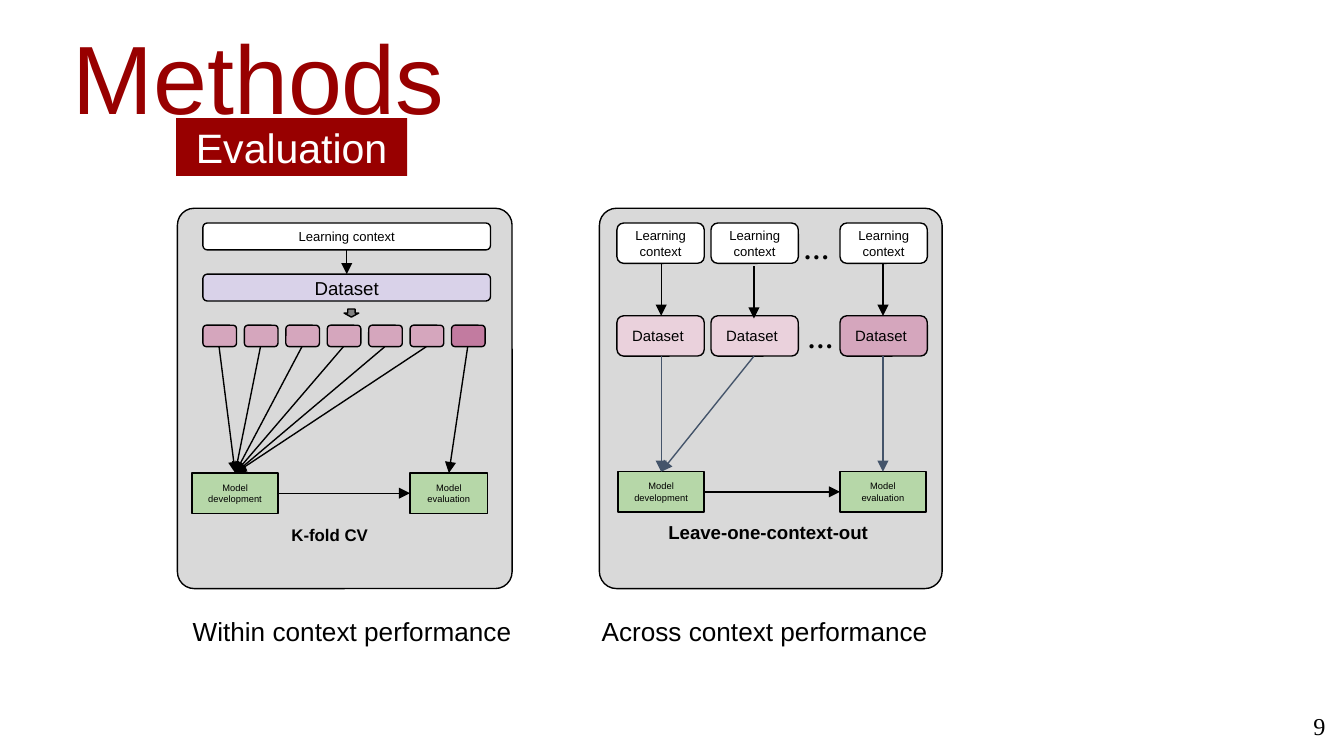
from pptx import Presentation
from pptx.dml.color import RGBColor
from pptx.enum.shapes import MSO_CONNECTOR as Connector, MSO_SHAPE as Preset
from pptx.enum.text import MSO_ANCHOR as Anchor, PP_ALIGN as Align
from pptx.oxml.ns import qn
from pptx.util import Inches, Pt
from lxml.etree import SubElement

BLACK, WHITE, CRIMSON, SLATE = "000000", "FFFFFF", "980000", "44546A"
PANEL, GREEN, LILAC = "D9D9D9", "B6D7A8", "D9D2E9"
PALE_PINK, PINK, DEEP_PINK, ARROW_GRAY = "EAD1DC", "D5A6BD", "C27BA0", "7F7F7F"


def color(value):
    """Turn a hex string into a colour."""
    return RGBColor.from_string(value)


def write(shape, text, size, ink=BLACK, align=Align.CENTER, font="Arial",
          bold=False, anchor=Anchor.MIDDLE, inset=0.1):
    """Fill a shape with one formatted paragraph and return it."""
    frame = shape.text_frame
    frame.word_wrap = True
    frame.vertical_anchor = anchor
    frame.margin_left = frame.margin_right = Inches(0.1)
    frame.margin_top = frame.margin_bottom = Inches(inset)
    para = frame.paragraphs[0]
    para.text = text
    para.alignment = align
    para.font.name = font
    para.font.size = Pt(size)
    para.font.bold = bold
    para.font.color.rgb = color(ink)
    return para


def add_box(page, place, fill, preset=Preset.ROUNDED_RECTANGLE, outlined=True):
    """Add a filled preset shape with an optional thin black outline."""
    box = page.shapes.add_shape(preset, *map(Inches, place))
    box.shadow.inherit = False
    box.fill.solid()
    box.fill.fore_color.rgb = color(fill)
    if outlined:
        box.line.color.rgb = color(BLACK)
        box.line.width = Pt(0.75)
    else:
        box.line.fill.background()
    return box


def add_panel(page, place):
    """Add a gray panel with slightly rounded corners."""
    add_box(page, place, PANEL).adjustments[0] = 0.05


def add_label(page, place, text, size, **style):
    """Add a text box anchored at the top."""
    label = page.shapes.add_textbox(*map(Inches, place))
    write(label, text, size, anchor=Anchor.TOP, **style)


def add_arrow(page, start, end, ink=BLACK):
    """Add a straight line with a triangle at its end."""
    arrow = page.shapes.add_connector(Connector.STRAIGHT, *map(Inches, (*start, *end)))
    arrow.line.color.rgb = color(ink)
    arrow.line.width = Pt(0.75)
    properties = arrow._element.spPr
    SubElement(properties.find(qn("a:ln")), qn("a:tailEnd"), type="triangle")
    SubElement(properties, qn("a:effectLst"))


def add_models(page, top, development, evaluation):
    """Add the two model boxes and the arrow that joins them."""
    steps = (("Model development", development), ("Model evaluation", evaluation))
    for text, (left, width) in steps:
        box = add_box(page, (left, top, width, 0.3), GREEN, Preset.RECTANGLE)
        write(box, text, 5)
    middle = top + 0.15
    add_arrow(page, (sum(development), middle), (evaluation[0], middle))


def add_heading(page):
    """Place the title and the section tag."""
    title = page.shapes.title
    title.left, title.top, title.width, title.height = map(Inches, (0.44, 0.22, 9.56, 0.99))
    write(title, "Methods", 52, CRIMSON, Align.LEFT, inset=0.05).line_spacing = 0.53
    tag = add_box(page, (1.31, 0.88, 1.72, 0.43), CRIMSON, Preset.RECTANGLE, outlined=False)
    write(tag, "Evaluation", 22, WHITE)


def add_within_context(page):
    """Draw the k-fold panel: one dataset split into folds."""
    add_panel(page, (1.32, 1.55, 2.49, 2.83))
    bars = (("Learning context", 1.66, WHITE, 7), ("Dataset", 2.04, LILAC, 10))
    for text, top, fill, size in bars:
        write(add_box(page, (1.51, top, 2.14, 0.2), fill), text, size)
    add_arrow(page, (2.58, 1.86), (2.58, 2.04))
    add_box(page, (2.56, 2.3, 0.11, 0.06), ARROW_GRAY, Preset.DOWN_ARROW)
    add_models(page, 3.52, (1.43, 0.64), (3.05, 0.58))

    folds = 7
    for index in range(folds):
        left = 1.51 + index * 1.85 / (folds - 1)
        held_out = index == folds - 1
        add_box(page, (left, 2.42, 0.25, 0.16), DEEP_PINK if held_out else PINK)
        add_arrow(page, (left + 0.12, 2.58), (3.34 if held_out else 1.75, 3.52))

    add_label(page, (2.07, 3.83, 1.36, 0.35), "K-fold CV", 9, align=Align.LEFT, bold=True)
    add_label(page, (1.3, 4.48, 2.64, 0.44), "Within context performance", 14)


def add_across_context(page):
    """Draw the leave-one-out panel: one dataset per context."""
    add_panel(page, (4.46, 1.55, 2.55, 2.83))
    add_models(page, 3.51, (4.6, 0.64), (6.25, 0.64))
    contexts = ((4.59, 4.92, PALE_PINK, 4.92, 1.96),
                (5.29, 5.61, PALE_PINK, 4.92, 1.98),
                (6.25, 6.57, PINK, 6.57, 1.96))
    for left, center, fill, model, start in contexts:
        write(add_box(page, (left, 1.66, 0.65, 0.3), WHITE), "Learning context", 7)
        write(add_box(page, (left, 2.35, 0.65, 0.3), fill), "Dataset", 8, align=Align.LEFT)
        add_arrow(page, (center, start), (center, start + 0.39))
        add_arrow(page, (center, 2.65), (model, 3.51), SLATE)

    for left, top in ((5.88, 1.64), (5.91, 2.3)):
        add_label(page, (left, top, 0.47, 0.44), "…", 14, align=Align.LEFT,
                  font="Times New Roman", bold=True)
    add_label(page, (4.6, 3.79, 2.23, 0.24), "Leave-one-context-out", 10, bold=True)
    add_label(page, (4.37, 4.48, 2.64, 0.44), "Across context performance", 14)


def main():
    """Build the slide and save it."""
    deck = Presentation()
    deck.slide_width = Inches(10)
    deck.slide_height = deck.slide_width * 9 // 16
    page = deck.slides.add_slide(deck.slide_layouts[5])
    add_within_context(page)
    add_across_context(page)
    add_heading(page)
    add_label(page, (9.36, 5.19, 0.6, 0.43), "9", 13, align=Align.RIGHT,
              font="Times New Roman")
    deck.save("out.pptx")


if __name__ == "__main__":
    main()
